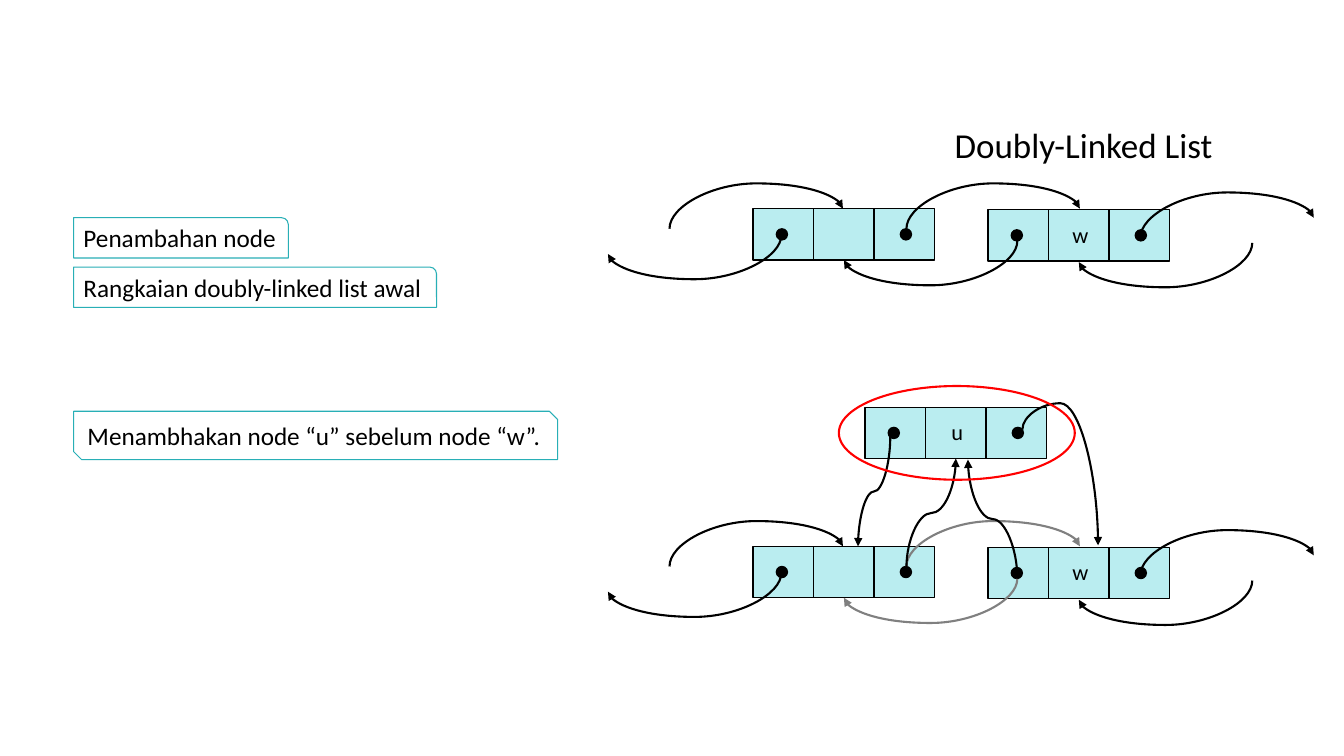
from dataclasses import dataclass
from math import copysign

from lxml import etree
from pptx import Presentation
from pptx.dml.color import RGBColor
from pptx.enum import shapes, text
from pptx.oxml import ns
from pptx.util import Inches, Pt


@dataclass(frozen=True)
class Theme:
    font: str = "Calibri"
    black: str = "000000"
    node_fill: str = "BAEDF0"
    label_line: str = "28AFB6"
    old_link: str = "808080"
    highlight: str = "FF0000"
    title_size: float = 25
    label_size: float = 18
    node_size: float = 16
    thin: float = 0.75
    border: float = 1
    arrow: float = 1.5


THEME = Theme()
KIND = shapes.MSO_SHAPE
LINK = shapes.MSO_CONNECTOR


def rgb(value):
    return RGBColor.from_string(value)


def set_line(s, color, width):
    s.line.color.rgb = rgb(color)
    s.line.width = Pt(width)


def write(s, words, size, align=text.PP_ALIGN.LEFT, wrap=True):
    tf = s.text_frame
    frame_format = {"word_wrap": wrap, "auto_size": text.MSO_AUTO_SIZE.NONE,
                    "vertical_anchor": text.MSO_ANCHOR.TOP}
    for name, value in frame_format.items():
        setattr(tf, name, value)
    p = tf.paragraphs[0]
    p.alignment = align
    r = p.add_run()
    r.text = words
    for name, value in {"name": THEME.font, "size": Pt(size)}.items():
        setattr(r.font, name, value)
    r.font.color.rgb = rgb(THEME.black)


def add_text(parent, words, box, size, align=text.PP_ALIGN.LEFT):
    s = parent.add_textbox(*map(Inches, box))
    write(s, words, size, align)


def add_box(parent, kind, box, line, width, fill=None):
    s = parent.add_shape(kind, *map(Inches, box))
    s.shadow.inherit = False
    if fill:
        s.fill.solid()
        s.fill.fore_color.rgb = rgb(fill)
    else:
        s.fill.background()
    set_line(s, line, width)
    return s


def add_label(parent, kind, words, box):
    s = add_box(parent, kind, box, THEME.label_line, THEME.thin)
    write(s, words, THEME.label_size, wrap=False)


def add_line(parent, kind, start, end, color, width):
    s = parent.add_connector(kind, *map(Inches, (*start, *end)))
    set_line(s, color, width)
    etree.SubElement(s._element.spPr, ns.qn("a:effectLst"))
    return s


def add_node(parent, x, y, letter=None):
    """Three cells: previous pointer, value, next pointer."""
    group = parent.add_group_shape().shapes
    add_box(group, KIND.RECTANGLE, (x, y, 1.8, 0.51), THEME.black, THEME.border, THEME.node_fill)
    for divider in (x + 0.6, x + 1.2):
        add_line(group, LINK.STRAIGHT, (divider, y), (divider, y + 0.5), THEME.black, THEME.border)
    if letter:
        add_text(group, letter, (x + 0.62, y + 0.06, 0.59, 0.37), THEME.node_size,
                 text.PP_ALIGN.CENTER)
    for dot in (x + 0.23, x + 1.46):
        add_box(group, KIND.OVAL, (dot, y + 0.2, 0.11, 0.11), THEME.black, THEME.border, THEME.black)


def add_arrow(parent, start, end, bend=None, color=THEME.black):
    """Curve that leaves and arrives vertically, turning at height bend."""
    (x1, y1), (x2, y2) = start, end
    dx, dy = x2 - x1, y2 - y1
    cx, cy = (x1 + x2) / 2, (y1 + y2) / 2
    ratio = 0.5 if bend is None else (bend - y1) / dy

    # The unrotated frame swaps width and height around the centre
    half_w = copysign(abs(dy) / 2, dx)
    half_h = copysign(abs(dx) / 2, dy)
    s = add_line(parent, LINK.CURVE, (cx + half_w, cy - half_h), (cx - half_w, cy + half_h),
                 color, THEME.arrow)
    props = s._element.spPr
    turn = 90 if dx * dy < 0 else 270
    props.find(ns.qn("a:xfrm")).set("rot", str(turn * 60000))
    geometry = props.find(ns.qn("a:prstGeom"))
    adjust = geometry.find(ns.qn("a:avLst"))
    if adjust is None:
        adjust = etree.SubElement(geometry, ns.qn("a:avLst"))
    etree.SubElement(adjust, ns.qn("a:gd"), name="adj1", fmla=f"val {round(ratio * 100000)}")
    etree.SubElement(props.find(ns.qn("a:ln")), ns.qn("a:tailEnd"), type="triangle")


def add_chain(parent, y, middle_color):
    """Two neighbouring nodes with their forward and backward links."""
    add_node(parent, 7.47, y)
    add_node(parent, 9.8, y + 0.01, "w")
    forward = ((6.64, 0.2, THEME.black), (8.99, 0.2, middle_color), (11.31, 0.29, THEME.black))
    backward = ((7.75, 0.26, THEME.black), (10.09, 0.32, middle_color), (12.42, 0.34, THEME.black))
    for x, drop, color in forward:
        add_arrow(parent, (x, y + drop), (x + 1.72, y + drop - 0.2), y + drop - 0.45, color)
    for x, drop, color in backward:
        add_arrow(parent, (x, y + drop), (x - 1.72, y + drop + 0.19), y + drop + 0.44, color)


def main():
    prs = Presentation()
    prs.slide_width, prs.slide_height = Inches(13.33), Inches(7.5)
    parts = prs.slides.add_slide(prs.slide_layouts[6]).shapes

    # Title and labels
    add_text(parts, "Doubly-Linked List", (9.37, 1.18, 3, 0.52), THEME.title_size)
    add_label(parts, KIND.ROUND_1_RECTANGLE, "Penambahan node", (0.73, 2.16, 2.13, 0.4))
    add_label(parts, KIND.ROUND_1_RECTANGLE, "Rangkaian doubly-linked list awal",
              (0.73, 2.65, 3.6, 0.4))
    add_label(parts, KIND.SNIP_2_DIAG_RECTANGLE, "Menambhakan node “u” sebelum node “w”.",
              (0.73, 4.08, 4.8, 0.48))

    # List before the insertion
    add_chain(parts, 2.07, THEME.black)

    # List after the insertion, with the replaced links in grey
    add_node(parts, 8.58, 4.04, "u")
    add_chain(parts, 5.42, THEME.old_link)
    add_arrow(parts, (10.09, 5.74), (9.6, 4.56))
    add_arrow(parts, (8.99, 5.63), (9.48, 4.55))
    add_arrow(parts, (8.83, 4.33), (8.51, 5.42))
    add_arrow(parts, (10.14, 4.26), (10.89, 5.41), 4)
    add_box(parts, KIND.OVAL, (8.32, 3.83, 2.34, 0.93), THEME.highlight, THEME.arrow)

    prs.save("out.pptx")


if __name__ == "__main__":
    main()
